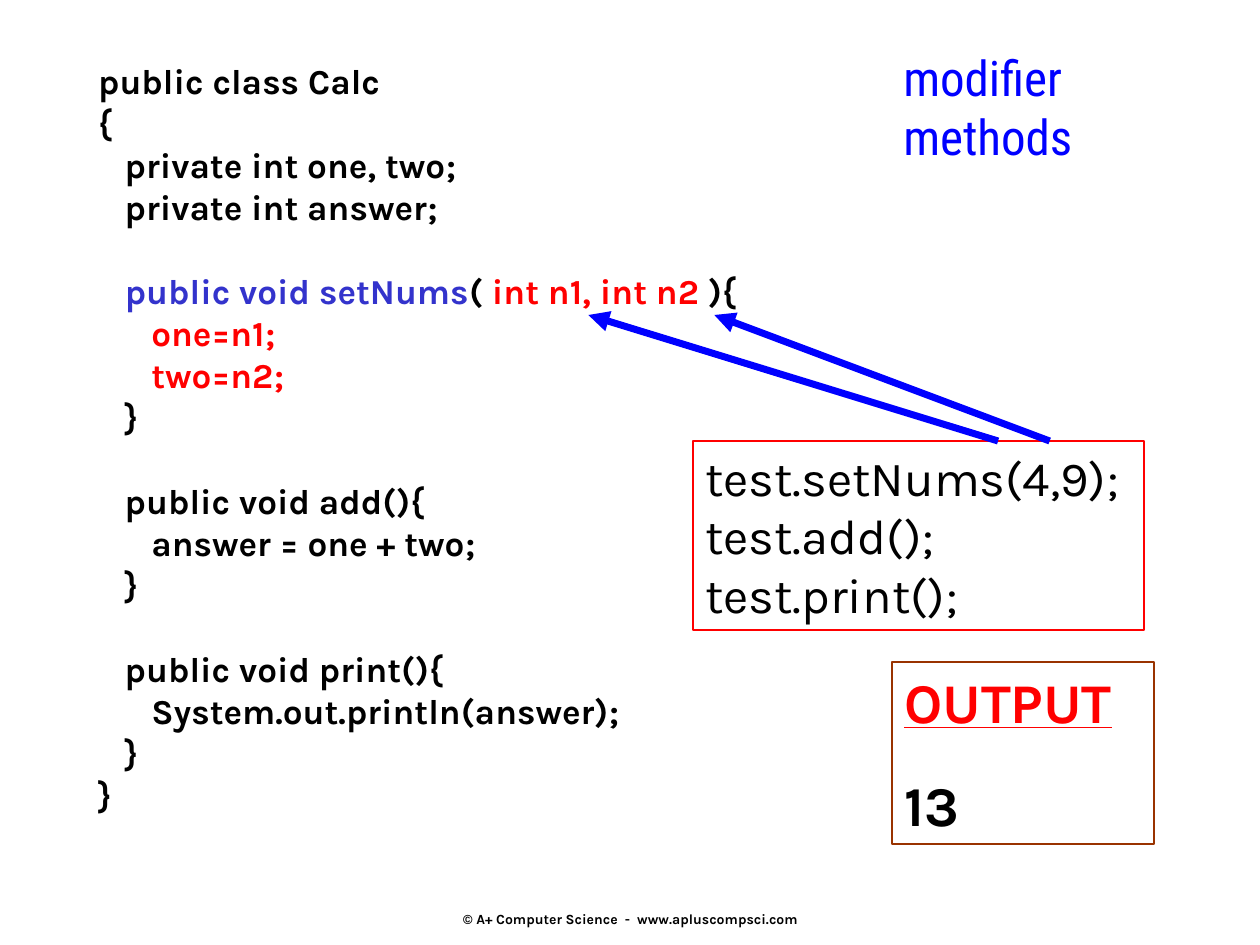
from pptx import Presentation
from pptx.dml.color import RGBColor
from pptx.enum.shapes import MSO_CONNECTOR, MSO_SHAPE
from pptx.enum.text import MSO_ANCHOR, PP_ALIGN
from pptx.oxml.ns import qn
from pptx.util import Cm, Pt
from lxml import etree

RECTANGLE = MSO_SHAPE.RECTANGLE
STRAIGHT = MSO_CONNECTOR.STRAIGHT
TOP, MIDDLE = MSO_ANCHOR.TOP, MSO_ANCHOR.MIDDLE
LEFT, CENTER = PP_ALIGN.LEFT, PP_ALIGN.CENTER

BLACK = RGBColor(0x00, 0x00, 0x00)
RED = RGBColor(0xFF, 0x00, 0x00)
BLUE = RGBColor(0x00, 0x00, 0xFF)
INDIGO = RGBColor(0x33, 0x33, 0xCC)
BROWN = RGBColor(0x99, 0x33, 0x00)

CODE_SECTIONS = [
    [
        "public class Calc",
        "{",
        "   private int one, two;",
        "   private int answer;",
    ],
    [
        [("   ", BLACK), ("public void setNums", INDIGO), ("( ", BLACK),
         ("int n1, int n2", RED), (" ){", BLACK)],
        [("      one=n1;", RED)],
        [("      two=n2;", RED)],
        "   }",
    ],
    [
        "   public void add(){",
        "      answer = one + two;",
        "   }",
    ],
    [
        "   public void print(){",
        "      System.out.println(answer);",
        "   }",
        "}",
    ],
]
CALLS = ["test.setNums(4,9);", "test.add();", "test.print();"]
OUTPUT = [[("OUTPUT", RED)], "13"]
TITLE = [[("modifier", BLUE)], [("methods", BLUE)]]
FOOTER = ["© A+ Computer Science  -  www.apluscompsci.com"]

CODE_FONT = {"name": "Karla", "size": Pt(20), "bold": True}
CALL_FONT = {"name": "Karla", "size": Pt(28), "bold": False}
OUTPUT_FONT = {"name": "Karla", "size": Pt(32), "bold": True}
TITLE_FONT = {"name": "Roboto Condensed", "size": Pt(28), "bold": False}
FOOTER_FONT = {"name": "Karla", "size": Pt(8), "bold": True}

CODE_AREA = (1.73, 1.07, 13.82, 15.52)
CALL_AREA = (13.97, 8.89, 9.09, 3.81)
OUTPUT_AREA = (17.98, 13.34, 5.28, 3.68)
TITLE_AREA = (17.96, 0.84, 5.08, 3.38)
FOOTER_AREA = (8.69, 18.14, 8.05, 0.76)

ARGUMENT_ARROWS = [
    (20.12, 8.89, 11.86, 6.35),
    (21.16, 8.89, 14.4, 6.35),
]


def add_lines(page, area, lines, font, border=None, gaps=None,
              align=LEFT, anchor=TOP):
    place = [Cm(length) for length in area]
    if border is None:
        box = page.shapes.add_textbox(*place)
    else:
        box = page.shapes.add_shape(RECTANGLE, *place)
        box.shadow.inherit = False
        box.fill.background()
        box.line.color.rgb = border
        box.line.width = Pt(1)
    frame = box.text_frame
    frame.word_wrap = True
    frame.vertical_anchor = anchor
    for index, line in enumerate(lines):
        para = frame.paragraphs[0] if index == 0 else frame.add_paragraph()
        para.alignment = align
        para.space_before = Pt((gaps or {}).get(index, 0))
        spans = [(line, BLACK)] if isinstance(line, str) else line
        for text, color in spans:
            span = para.add_run()
            span.text = text
            span.font.color.rgb = color
            for name, value in font.items():
                setattr(span.font, name, value)
    return box


def add_arrow(page, ends):
    arrow = page.shapes.add_connector(STRAIGHT, *[Cm(end) for end in ends])
    arrow.line.color.rgb = BLUE
    arrow.line.width = Pt(4)
    etree.SubElement(arrow.line._get_or_add_ln(), qn("a:tailEnd"), type="triangle")
    etree.SubElement(arrow._element.spPr, qn("a:effectLst"))


def main():
    deck = Presentation()
    deck.slide_width, deck.slide_height = Cm(25.4), Cm(19.05)
    page = deck.slides.add_slide(deck.slide_layouts[6])

    code_lines, section_gaps = [], {}
    for section in CODE_SECTIONS:
        if code_lines:
            section_gaps[len(code_lines)] = 24
        code_lines += section

    add_lines(page, FOOTER_AREA, FOOTER, FOOTER_FONT, align=CENTER, anchor=MIDDLE)
    add_lines(page, CODE_AREA, code_lines, CODE_FONT, gaps=section_gaps)
    add_lines(page, CALL_AREA, CALLS, CALL_FONT, border=RED)
    for ends in ARGUMENT_ARROWS:
        add_arrow(page, ends)
    output = add_lines(page, OUTPUT_AREA, OUTPUT, OUTPUT_FONT, border=BROWN, gaps={1: 20})
    output.text_frame.paragraphs[0].runs[0].font.underline = True
    add_lines(page, TITLE_AREA, TITLE, TITLE_FONT)

    deck.save("out.pptx")


if __name__ == "__main__":
    main()
